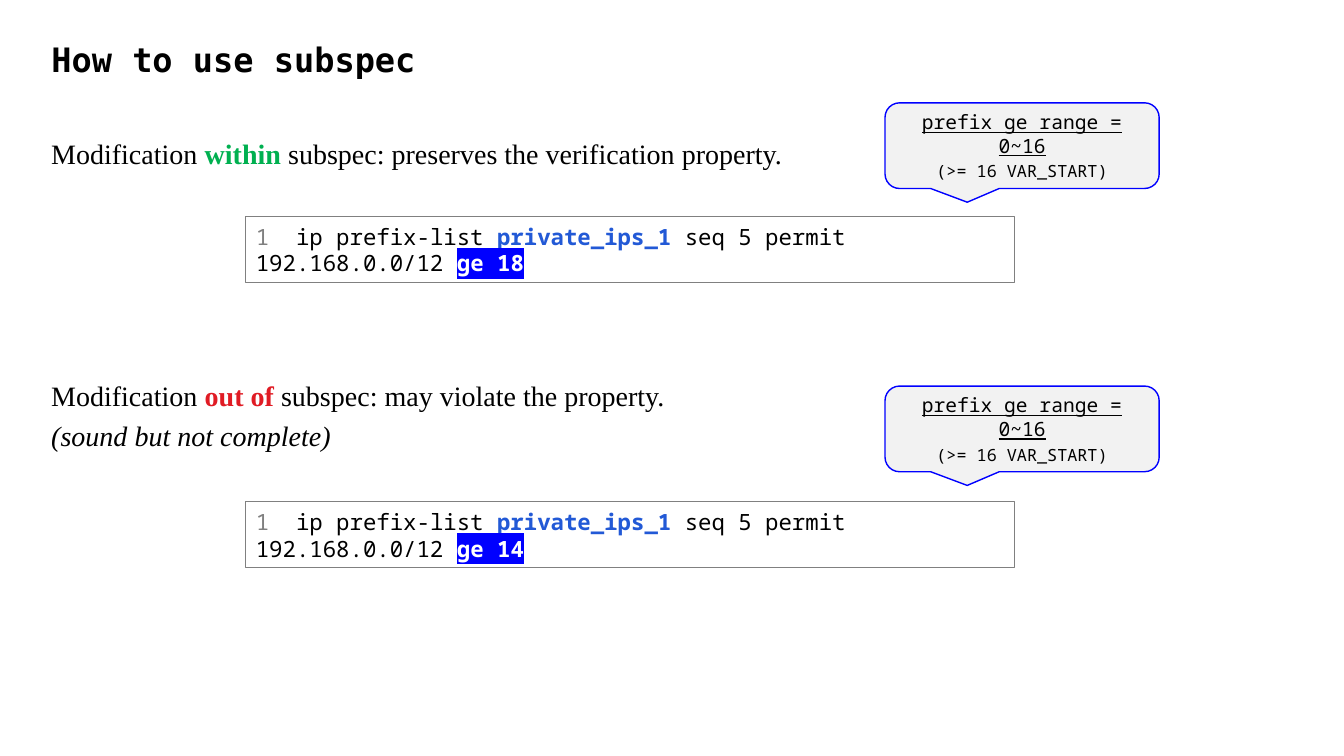
import pptx
import pptx.util
import pptx.dml.color
import pptx.enum.shapes
import pptx.enum.text
from lxml import etree
from pptx.oxml.ns import qn

Pt = pptx.util.Pt
ALIGN = pptx.enum.text.PP_ALIGN
ANCHOR = pptx.enum.text.MSO_ANCHOR
SHAPE = pptx.enum.shapes.MSO_SHAPE

COLORS = {
    "text": "000000",
    "line_number": "808080",
    "list_name": "2259D6",
    "within": "00B050",
    "out_of": "E01B24",
    "accent": "0000FF",
    "callout": "F2F2F2",
    "white": "FFFFFF",
}
SERIF, MONO, TITLE_MONO = "Times New Roman", "Noto Sans Mono", "DejaVu Sans Mono"
LEFT = 29.52


def rgb(name):
    return pptx.dml.color.RGBColor.from_string(COLORS[name])


def set_font(paragraph, face, size, color="text"):
    paragraph.font.name = face
    paragraph.font.size = Pt(size)
    paragraph.font.color.rgb = rgb(color)


def add_run(paragraph, text, color="text", bold=False):
    run = paragraph.add_run()
    run.text = text
    run.font.color.rgb = rgb(color)
    run.font.bold = bold
    return run


def highlight(run, color):
    mark = etree.Element(qn("a:highlight"))
    etree.SubElement(mark, qn("a:srgbClr"), val=COLORS[color])
    run.font.fill  # the highlight follows the solid fill
    run.font._element.find(qn("a:solidFill")).addnext(mark)


def add_title(slide, text):
    title = slide.shapes.title
    title.left, title.top, title.width, title.height = Pt(LEFT), Pt(15.12), Pt(900), Pt(57.6)
    title.text_frame.text = text
    title.text_frame.vertical_anchor = ANCHOR.MIDDLE
    heading = title.text_frame.paragraphs[0]
    heading.alignment = ALIGN.LEFT
    heading.line_spacing = 0.9
    set_font(heading, TITLE_MONO, 24)
    heading.font.bold = True


def add_statement(slide, top, width, height, keyword, color, claim, remark=None):
    box = slide.shapes.add_textbox(Pt(LEFT), Pt(top), Pt(width), Pt(height))
    frame = box.text_frame
    frame.word_wrap = True
    sentence = frame.paragraphs[0]
    sentence.line_spacing = 1.2
    set_font(sentence, SERIF, 20)
    add_run(sentence, "Modification ")
    add_run(sentence, keyword + " ", color, bold=True)
    add_run(sentence, claim)
    if remark:
        note = frame.add_paragraph()
        note.line_spacing = 1.2
        set_font(note, SERIF, 20)
        note.font.italic = True
        note.add_run().text = remark


def add_panel(slide, kind, left, top, width, height, line, line_width):
    panel = slide.shapes.add_shape(kind, Pt(left), Pt(top), Pt(width), Pt(height))
    panel.shadow.inherit = False
    panel.line.color.rgb = rgb(line)
    panel.line.width = Pt(line_width)
    panel.text_frame.word_wrap = True
    panel.text_frame.vertical_anchor = ANCHOR.MIDDLE
    return panel


def add_config_line(slide, top, bound):
    panel = add_panel(slide, SHAPE.RECTANGLE, 175.68, top, 549.36, 46.8, "line_number", 0.75)
    panel.fill.background()
    code = panel.text_frame.paragraphs[0]
    code.alignment = ALIGN.LEFT
    set_font(code, MONO, 16)
    add_run(code, "1  ", "line_number")
    add_run(code, "ip prefix-list ")
    add_run(code, "private_ips_1", "list_name", bold=True)
    add_run(code, " seq 5 permit 192.168.0.0/12 ")
    highlight(add_run(code, bound, "white", bold=True), "accent")


def add_range_callout(slide, top):
    callout = add_panel(slide, SHAPE.ROUNDED_RECTANGULAR_CALLOUT,
                        632.16, top, 195.84, 61.2, "accent", 1)
    callout.fill.solid()
    callout.fill.fore_color.rgb = rgb("callout")
    for index, value in enumerate((-0.2, 0.66, 0.17)):
        callout.adjustments[index] = value
    allowed = callout.text_frame.paragraphs[0]
    allowed.space_after = Pt(3)
    constraint = callout.text_frame.add_paragraph()
    for paragraph, text, size in ((allowed, "prefix ge range = 0~16", 14),
                                  (constraint, "(>= 16 VAR_START)", 12)):
        paragraph.alignment = ALIGN.CENTER
        set_font(paragraph, MONO, size)
        paragraph.add_run().text = text
    allowed.font.underline = True


def main():
    deck = pptx.Presentation()
    deck.slide_width, deck.slide_height = Pt(960), Pt(540)
    slide = deck.slides.add_slide(deck.slide_layouts[5])
    add_title(slide, "How to use subspec")

    # Change that stays within the subspec
    add_statement(slide, 89.28, 573.12, 36, "within", "within",
                  "subspec: preserves the verification property.")
    add_config_line(slide, 154.8, "ge 18")
    add_range_callout(slide, 73.44)

    # Change that leaves the subspec
    add_statement(slide, 262.08, 528.48, 65.52, "out of", "out_of",
                  "subspec: may violate the property.", "(sound but not complete)")
    add_config_line(slide, 358.56, "ge 14")
    add_range_callout(slide, 275.76)

    deck.save("out.pptx")


if __name__ == "__main__":
    main()
